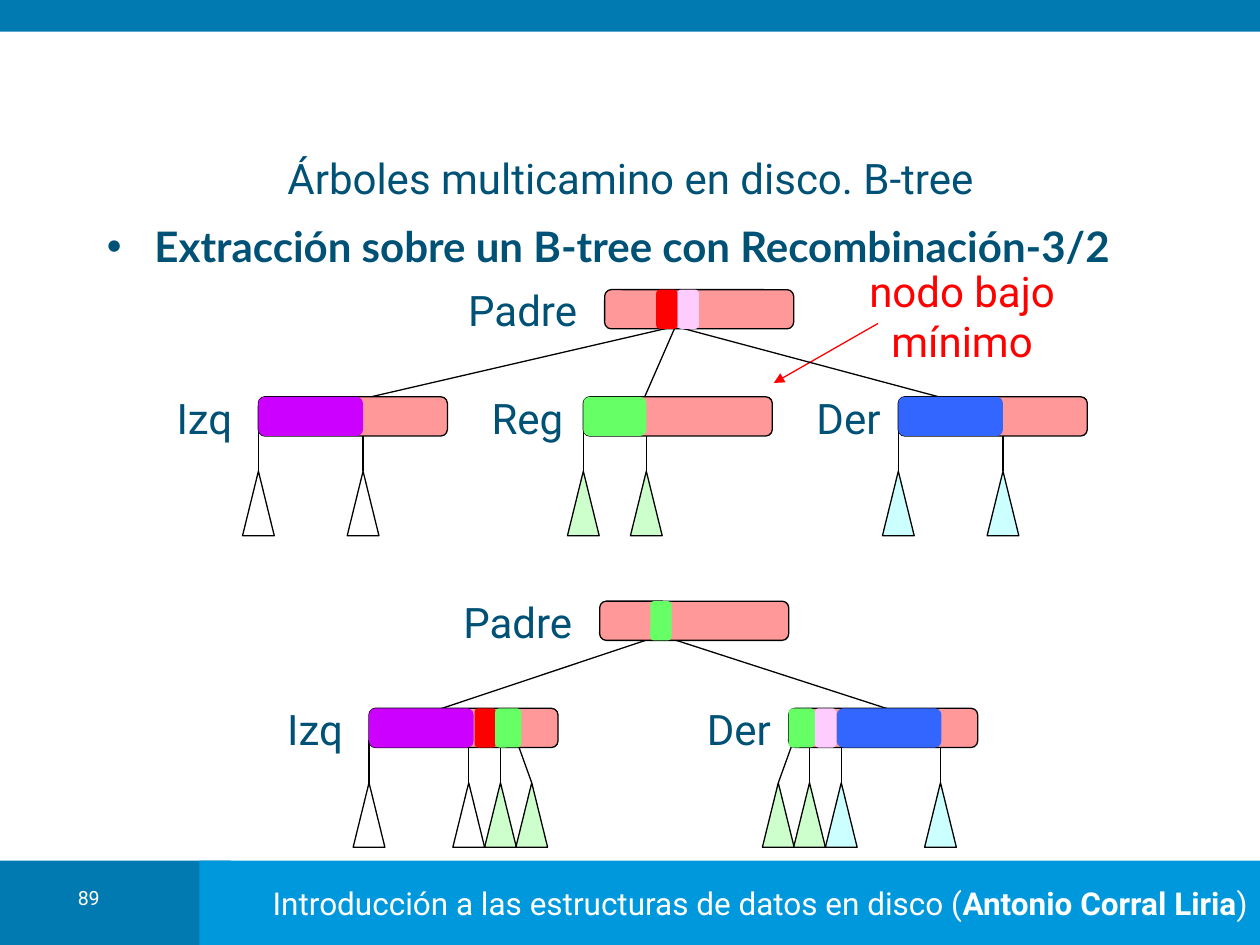
from pptx import Presentation
from pptx.dml.color import RGBColor
from pptx.enum.shapes import MSO_CONNECTOR, MSO_SHAPE
from pptx.enum.text import MSO_ANCHOR, MSO_AUTO_SIZE, PP_ALIGN
from pptx.oxml.ns import qn
from pptx.util import Cm, Pt
from lxml.etree import SubElement

NAVY, WHITE, BLACK, RED = "005176", "FFFFFF", "000000", "FF0000"
DARK, SKY = "007AB1", "0098DC"
SALMON, PURPLE, GREEN, BLUE, PINK = "FF9999", "CC00FF", "66FF66", "3366FF", "FFCCFF"
MINT, AQUA = "CCFFCC", "CCFFFF"
NODE_W, NODE_H = 3.81, 0.79
TRI_W, TRI_H = 0.64, 1.3
LEVEL, STEM_TOP, STEM_END = 2.16, 0.64, 1.5


def rgb(value):
    return RGBColor.from_string(value)


def add_run(p, text, size=24, color=NAVY, font="Roboto", bold=False):
    r = p.add_run()
    r.text = text
    r.font.size, r.font.name, r.font.bold = Pt(size), font, bold
    r.font.color.rgb = rgb(color)


def add_box(s, kind, x, y, w, h, fill, line=None):
    sp = s.shapes.add_shape(kind, Cm(x), Cm(y), Cm(w), Cm(h))
    sp.shadow.inherit = False
    sp.fill.solid()
    sp.fill.fore_color.rgb = rgb(fill)
    if line:
        sp.line.color.rgb = rgb(line)
        sp.line.width = Pt(0.75)
    else:
        sp.line.fill.background()
    return sp


def add_line(s, x1, y1, x2, y2, color=BLACK, arrow=False):
    cn = s.shapes.add_connector(MSO_CONNECTOR.STRAIGHT, Cm(x1), Cm(y1), Cm(x2), Cm(y2))
    cn.line.color.rgb = rgb(color)
    cn.line.width = Pt(0.75)
    if arrow:
        SubElement(cn.line._get_or_add_ln(), qn("a:tailEnd"), type="triangle")
    SubElement(cn._element.spPr, qn("a:effectLst"))


def add_text(s, x, y, w, h, lines, align=PP_ALIGN.LEFT, anchor=MSO_ANCHOR.TOP, **style):
    tf = s.shapes.add_textbox(Cm(x), Cm(y), Cm(w), Cm(h)).text_frame
    tf.word_wrap, tf.vertical_anchor = True, anchor
    for i, line in enumerate(lines):
        p = tf.add_paragraph() if i else tf.paragraphs[0]
        p.alignment = align
        add_run(p, line, **style)


def add_node(s, x, y, label, label_w, segments, subtrees=()):
    for top, tip, _ in subtrees:
        add_line(s, x + top, y + STEM_TOP, x + tip, y + STEM_END)
    add_box(s, MSO_SHAPE.ROUNDED_RECTANGLE, x, y, NODE_W, NODE_H, SALMON, BLACK)
    add_text(s, x - label_w, y - 0.22, label_w, 1.27, [label])
    for _, tip, fill in subtrees:
        add_box(s, MSO_SHAPE.ISOSCELES_TRIANGLE, x + tip - TRI_W / 2, y + STEM_END,
                TRI_W, TRI_H, fill, BLACK)
    for left, width, fill in segments:
        add_box(s, MSO_SHAPE.ROUNDED_RECTANGLE, x + left, y, width, NODE_H, fill)


def add_tree(s, x, y, edges, keys, children):
    for x1, y1, x2, y2 in edges:
        add_line(s, x + x1, y + y1, x + x2, y + y2)
    add_node(s, x, y, "Padre", 3, keys)
    for left, *node in children:
        add_node(s, x + left, y + LEVEL, *node)


def add_warning(s, x, y):
    add_text(s, x, y, 4.45, 3.3, ["nodo bajo", "mínimo"], PP_ALIGN.CENTER,
             MSO_ANCHOR.MIDDLE, color=RED)
    add_line(s, x + 0.53, y + 1.8, x - 1.57, y + 3, RED, arrow=True)


def add_frame(s, w, h):
    bar_h = 1.7
    add_box(s, MSO_SHAPE.RECTANGLE, 0, 0, w, 0.64, DARK)
    add_box(s, MSO_SHAPE.RECTANGLE, 0, h - bar_h, 4.65, bar_h, DARK)
    sp = add_box(s, MSO_SHAPE.RECTANGLE, 4.02, h - bar_h, w - 4.02, bar_h, SKY)
    tf = sp.text_frame
    tf.word_wrap, tf.vertical_anchor = True, MSO_ANCHOR.MIDDLE
    p = tf.paragraphs[0]
    p.alignment = PP_ALIGN.RIGHT
    add_run(p, "Introducción a las estructuras de datos en disco (", 18, WHITE)
    add_run(p, "Antonio Corral Liria", 18, WHITE, bold=True)
    add_run(p, ")", 18, WHITE)
    add_text(s, 0.89, h - 1.32, 1.8, 0.81, ["89"], PP_ALIGN.CENTER, size=11.2, color=WHITE)


def fill_placeholder(sp, x, y, w, h, text, anchor, **style):
    sp.left, sp.top, sp.width, sp.height = Cm(x), Cm(y), Cm(w), Cm(h)
    tf = sp.text_frame
    tf.auto_size, tf.vertical_anchor = MSO_AUTO_SIZE.NONE, anchor
    p = tf.paragraphs[0]
    p.space_before = Pt(0)
    add_run(p, text, **style)
    return p


def add_headings(s):
    fill_placeholder(s.shapes.title, 2.11, 3.05, 21.2, 1.07,
                     "Árboles multicamino en disco. B-tree", MSO_ANCHOR.MIDDLE)
    p = fill_placeholder(s.placeholders[1], 1.9, 4.32, 23, 13,
                         "Extracción sobre un B-tree con Recombinación-3/2",
                         MSO_ANCHOR.TOP, font="Lato", bold=True)
    pPr = p._p.get_or_add_pPr()
    pPr.set("marL", str(Cm(0.96)))
    pPr.set("indent", str(-Cm(0.96)))


def main():
    prs = Presentation()
    prs.slide_width, prs.slide_height = Cm(25.4), Cm(19.05)
    s = prs.slides.add_slide(prs.slide_layouts[1])
    add_frame(s, 25.4, 19.05)
    add_headings(s)
    add_warning(s, 17.17, 4.72)
    add_tree(
        s, 12.19, 5.84,
        [(1.85, 0.64, -6.35, 2.54), (1.47, 0.64, 0.64, 2.54), (0.64, 0.53, 9.09, 2.79)],
        [(1.04, 0.43, RED), (1.47, 0.43, PINK)],
        [(-6.98, "Izq", 1.9, [(0, 2.11, PURPLE)], [(0, 0, WHITE), (2.11, 2.11, WHITE)]),
         (-0.43, "Reg", 2.1, [(0, 1.27, GREEN)], [(0, 0, MINT), (1.27, 1.27, MINT)]),
         (5.92, "Der", 1.9, [(0, 2.11, BLUE)], [(0, 0, AQUA), (2.11, 2.11, AQUA)])])
    add_tree(
        s, 12.09, 12.12,
        [(1.7, 0.53, -4.32, 2.54), (0.74, 0.53, 5.84, 2.18)],
        [(1.02, 0.43, GREEN)],
        [(-4.65, "Izq", 1.9, [(0, 2.11, PURPLE), (2.13, 0.43, RED), (2.54, 0.53, GREEN)],
          [(0, 0, WHITE), (2.01, 2.01, WHITE), (2.65, 2.65, MINT), (2.97, 3.28, MINT)]),
         (3.81, "Der", 1.9, [(0, 0.53, GREEN), (0.53, 0.43, PINK), (0.97, 2.11, BLUE)],
          [(0.1, -0.21, MINT), (0.42, 0.42, MINT), (1.06, 1.06, AQUA), (3.06, 3.06, AQUA)])])
    prs.save("out.pptx")


if __name__ == "__main__":
    main()
